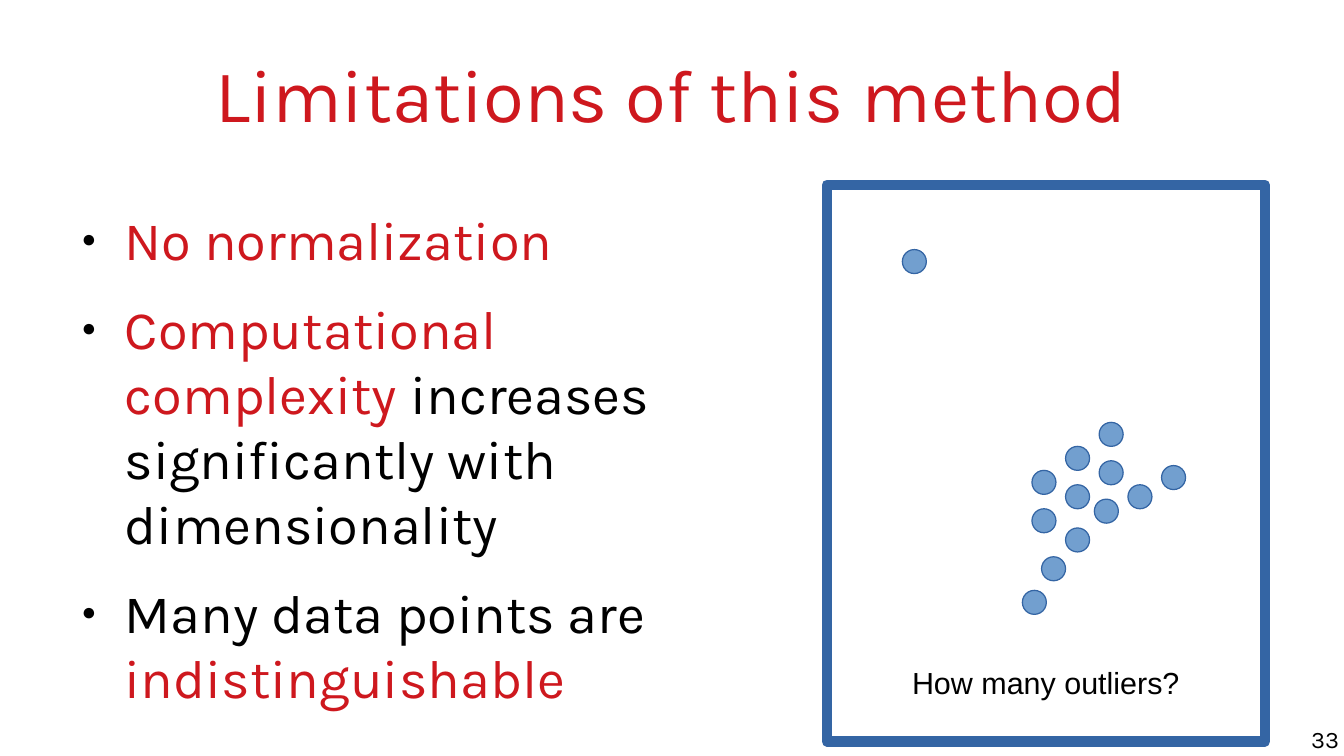
from lxml import etree
from pptx import Presentation
from pptx.dml.color import RGBColor
from pptx.enum.shapes import MSO_SHAPE as SHAPE
from pptx.enum.text import MSO_ANCHOR as ANCHOR, MSO_AUTO_SIZE as FIT, PP_ALIGN as ALIGN
from pptx.oxml.ns import qn
from pptx.util import Mm, Pt

COLORS = {"red": "CE181E", "black": "000000", "dot": "729FCF", "edge": "3465A4"}


def grid(*cells):
    return [Mm(cell) for cell in cells]


def add_run(paragraph, text, size, color, font="Karla"):
    run = paragraph.add_run()
    run.text = text
    run.font.size = Pt(size)
    run.font.name = font
    run.font.color.rgb = RGBColor.from_string(COLORS[color])


prs = Presentation()
prs.slide_width, prs.slide_height = grid(280, 157.5)
slide = prs.slides.add_slide(prs.slide_layouts[1])
heading, limitations = slide.placeholders
page_number = slide.shapes.add_textbox(*grid(214, 151, 65, 6.5))

heading.left, heading.top, heading.width, heading.height = grid(14, 0.25, 252, 38)
limitations.left, limitations.top, limitations.width, limitations.height = grid(14, 43, 132, 110)
for part, anchor in ((heading, ANCHOR.MIDDLE), (limitations, ANCHOR.TOP), (page_number, ANCHOR.TOP)):
    frame = part.text_frame
    frame.margin_left = frame.margin_right = frame.margin_top = frame.margin_bottom = 0
    frame.vertical_anchor = anchor
    frame.word_wrap = True
    frame.auto_size = FIT.NONE

title_line = heading.text_frame.paragraphs[0]
title_line.alignment = ALIGN.CENTER
add_run(title_line, "Limitations of this method", 44, "red")

number_line = page_number.text_frame.paragraphs[0]
number_line.alignment = ALIGN.RIGHT
add_run(number_line, "33", 14, "black")

points = [
    [("No normalization", "red")],
    [("Computational complexity", "red"), (" increases significantly with dimensionality", "black")],
    [("Many data points are ", "black"), ("indistinguishable", "red")],
]
for index, point in enumerate(points):
    body = limitations.text_frame
    line = body.add_paragraph() if index else body.paragraphs[0]
    props = line._p.get_or_add_pPr()
    props.set("marL", str(Mm(12)))
    props.set("indent", str(-Mm(9)))
    bullet_color = etree.SubElement(props, qn("a:buClr"))
    etree.SubElement(bullet_color, qn("a:srgbClr"), val=COLORS["black"])
    etree.SubElement(props, qn("a:buSzPct"), val="45000")
    etree.SubElement(props, qn("a:buFont"), typeface="Arial")
    etree.SubElement(props, qn("a:buChar"), char="●")
    line.space_before = Pt(14.2 if index else 0)
    for text, color in point:
        add_run(line, text, 32, color)

data_points = [
    (188, 52), (213, 123), (242, 97), (235, 101), (229, 96), (228, 104), (222, 101),
    (222, 110), (217, 116), (215, 106), (215, 98), (222, 93), (229, 88),
]
for column, row in data_points:
    dot = slide.shapes.add_shape(SHAPE.OVAL, *grid(column, row, 5, 5))
    dot.shadow.inherit = False
    dot.fill.solid()
    dot.fill.fore_color.rgb = RGBColor.from_string(COLORS["dot"])
    dot.line.color.rgb = RGBColor.from_string(COLORS["edge"])
    dot.line.width = 0

plot = slide.shapes.add_shape(SHAPE.RECTANGLE, *grid(172.25, 38.5, 91.25, 116))
plot.shadow.inherit = False
plot.fill.background()
plot.line.color.rgb = RGBColor.from_string(COLORS["edge"])
plot.line.width = Pt(6)
etree.SubElement(plot.line._get_or_add_ln(), qn("a:round"))
plot.text_frame.vertical_anchor = ANCHOR.BOTTOM
plot.text_frame.margin_bottom = Mm(8.5)
question = plot.text_frame.paragraphs[0]
question.alignment = ALIGN.CENTER
add_run(question, "How many outliers?", 18, "black", "Arial")

prs.save("out.pptx")
